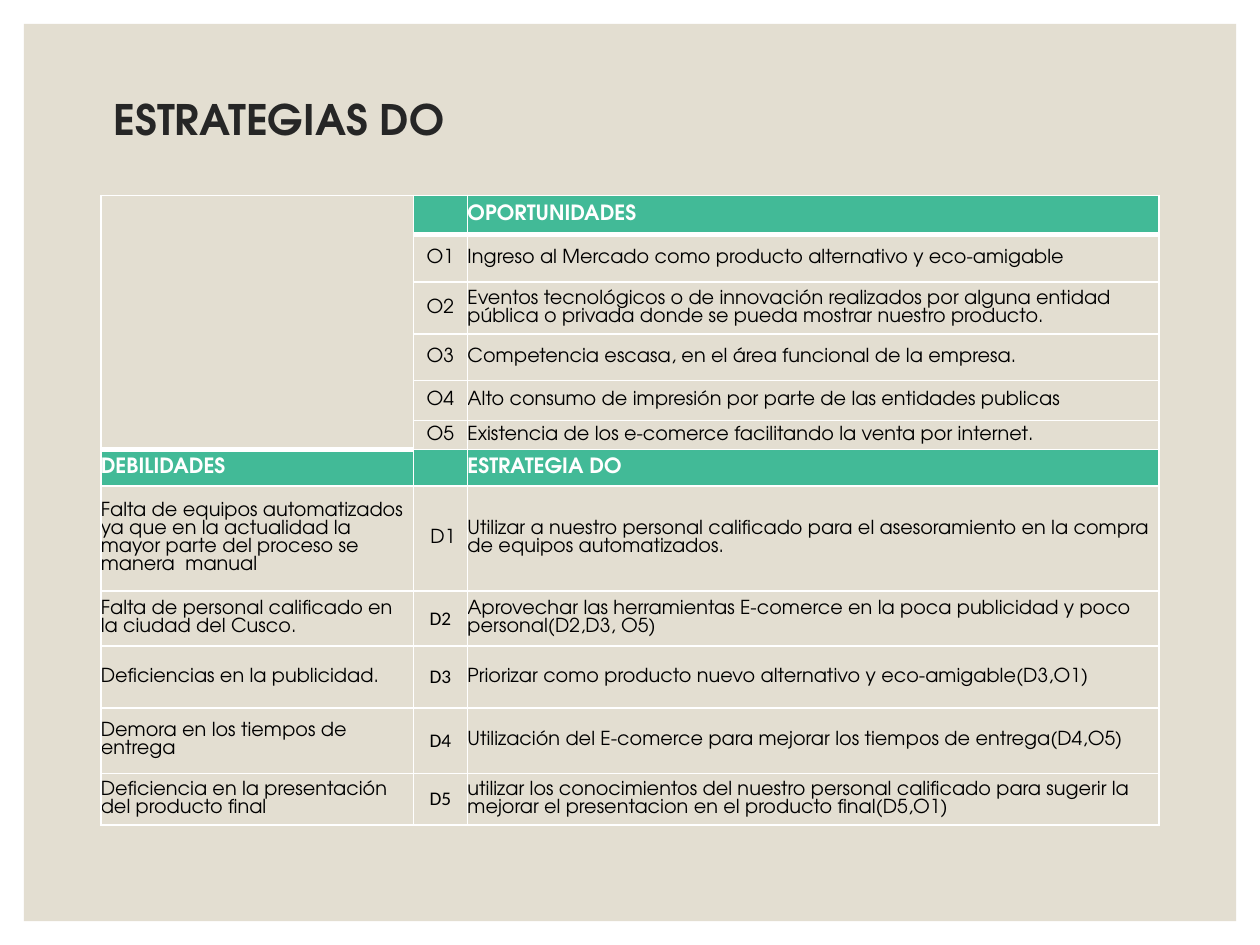
from lxml import etree
from pptx import Presentation
from pptx.dml.color import RGBColor
from pptx.enum.shapes import MSO_SHAPE
from pptx.enum.text import MSO_ANCHOR, PP_ALIGN
from pptx.oxml.ns import qn
from pptx.util import Inches, Pt

RECTANGLE = MSO_SHAPE.RECTANGLE
MIDDLE = MSO_ANCHOR.MIDDLE
LEFT, CENTER = PP_ALIGN.LEFT, PP_ALIGN.CENTER

SAND = RGBColor(0xE3, 0xDE, 0xD1)
GREEN = RGBColor(0x42, 0xBA, 0x97)
WHITE = RGBColor(0xFF, 0xFF, 0xFF)
BLACK = RGBColor(0x00, 0x00, 0x00)
CHARCOAL = RGBColor(0x26, 0x26, 0x26)

FONT = "TeX Gyre Adventor"
CODE_FONT = "Calibri"
CALIBRI_CODES = ("D2", "D3", "D4", "D5")

TITLE = "ESTRATEGIAS DO"
ROWS = [
    (0.31, "", "", "OPORTUNIDADES"),
    (0.38, "", "O1", "Ingreso al Mercado como producto alternativo y eco-amigable"),
    (0.41, "", "O2", "Eventos tecnológicos o de innovación realizados por alguna entidad "
                     "pública o privada donde se pueda mostrar nuestro producto."),
    (0.37, "", "O3", "Competencia escasa, en el área funcional de la empresa."),
    (0.32, "", "O4", "Alto consumo de impresión por parte de las entidades publicas"),
    (0.23, "", "O5", "Existencia de los e-comerce facilitando la venta por internet."),
    (0.29, "DEBILIDADES", "", "ESTRATEGIA DO"),
    (0.83, "Falta de equipos automatizados ya que en la actualidad la mayor parte "
           "del proceso se  manera  manual",
     " D1", "Utilizar a nuestro personal calificado para el asesoramiento en la "
            "compra de equipos automatizados."),
    (0.44, "Falta de personal calificado en la ciudad del Cusco.",
     "D2", "Aprovechar las herramientas E-comerce en la poca publicidad y poco "
           "personal(D2,D3, O5)"),
    (0.49, "Deficiencias en la publicidad.",
     "D3", "Priorizar como producto nuevo alternativo y eco-amigable(D3,O1)"),
    (0.52, "Demora en los tiempos de entrega",
     "D4", "Utilización del E-comerce para mejorar los tiempos de entrega(D4,O5)"),
    (0.41, "Deficiencia en la presentación del producto final",
     "D5", "utilizar los conocimientos del nuestro personal calificado para sugerir "
           "la mejorar el presentacion en el producto final(D5,O1)"),
]
COLUMN_WIDTHS = (2.48, 0.43, 5.49)
HEADER_ROWS = (0, 6)
MERGED_ROWS = 6


def add_run(paragraph, text, size, color, bold, font=FONT):
    run = paragraph.add_run()
    run.text = text
    run.font.name = font
    run.font.size = Pt(size)
    run.font.bold = bold
    run.font.color.rgb = color


def set_borders(cell, bottom_width):
    properties = cell._tc.get_or_add_tcPr()
    widths = {"a:lnL": 1, "a:lnR": 1, "a:lnT": 1, "a:lnB": bottom_width}
    for position, (tag, width) in enumerate(widths.items()):
        line = etree.Element(qn(tag), w=str(Pt(width)))
        fill = etree.SubElement(line, qn("a:solidFill"))
        etree.SubElement(fill, qn("a:srgbClr"), val=str(WHITE))
        properties.insert(position, line)


def fill_cell(cell, text, row, column):
    is_header = row in HEADER_ROWS
    in_merged = column == 0 and row < MERGED_ROWS
    cell.margin_left = cell.margin_right = cell.margin_top = cell.margin_bottom = 0
    cell.vertical_anchor = MIDDLE
    if is_header and not in_merged:
        cell.fill.solid()
        cell.fill.fore_color.rgb = GREEN
    else:
        cell.fill.background()
    set_borders(cell, 3 if row == 0 or in_merged else 1)
    paragraph = cell.text_frame.paragraphs[0]
    paragraph.alignment = CENTER if column == 1 else LEFT
    if text:
        font = CODE_FONT if text in CALIBRI_CODES else FONT
        add_run(paragraph, text, 12 if is_header else 11,
                WHITE if is_header else BLACK, is_header, font)
    else:
        etree.SubElement(paragraph._p, qn("a:endParaRPr"), sz="1100")


def add_strategy_table(slide):
    height = sum(row[0] for row in ROWS)
    frame = slide.shapes.add_table(
        len(ROWS), len(COLUMN_WIDTHS), Inches(0.8), Inches(1.55),
        Inches(sum(COLUMN_WIDTHS)), Inches(height))
    table = frame.table
    table.first_row = table.horz_banding = False
    for column, width in zip(table.columns, COLUMN_WIDTHS):
        column.width = Inches(width)
    for row, (height, *texts) in enumerate(ROWS):
        table.rows[row].height = Inches(height)
        for column, text in enumerate(texts):
            fill_cell(table.cell(row, column), text, row, column)
    table.cell(0, 0).merge(table.cell(MERGED_ROWS - 1, 0))


def main():
    presentation = Presentation()
    presentation.slide_width, presentation.slide_height = Inches(10), Inches(7.5)
    slide = presentation.slides.add_slide(presentation.slide_layouts[5])

    panel = slide.shapes.add_shape(
        RECTANGLE, Inches(0.19), Inches(0.19), Inches(9.62), Inches(7.12))
    panel.shadow.inherit = False
    panel.fill.solid()
    panel.fill.fore_color.rgb = SAND
    panel.line.fill.background()
    slide.shapes._spTree.insert(2, panel._element)

    title = slide.shapes.title
    title.left, title.top = Inches(0.8), Inches(0.7)
    title.width, title.height = Inches(8.4), Inches(0.53)
    title.text_frame.vertical_anchor = MIDDLE
    paragraph = title.text_frame.paragraphs[0]
    paragraph.alignment = LEFT
    paragraph.line_spacing = 0.9
    add_run(paragraph, TITLE, 24, CHARCOAL, True)

    add_strategy_table(slide)
    presentation.save("out.pptx")


if __name__ == "__main__":
    main()
